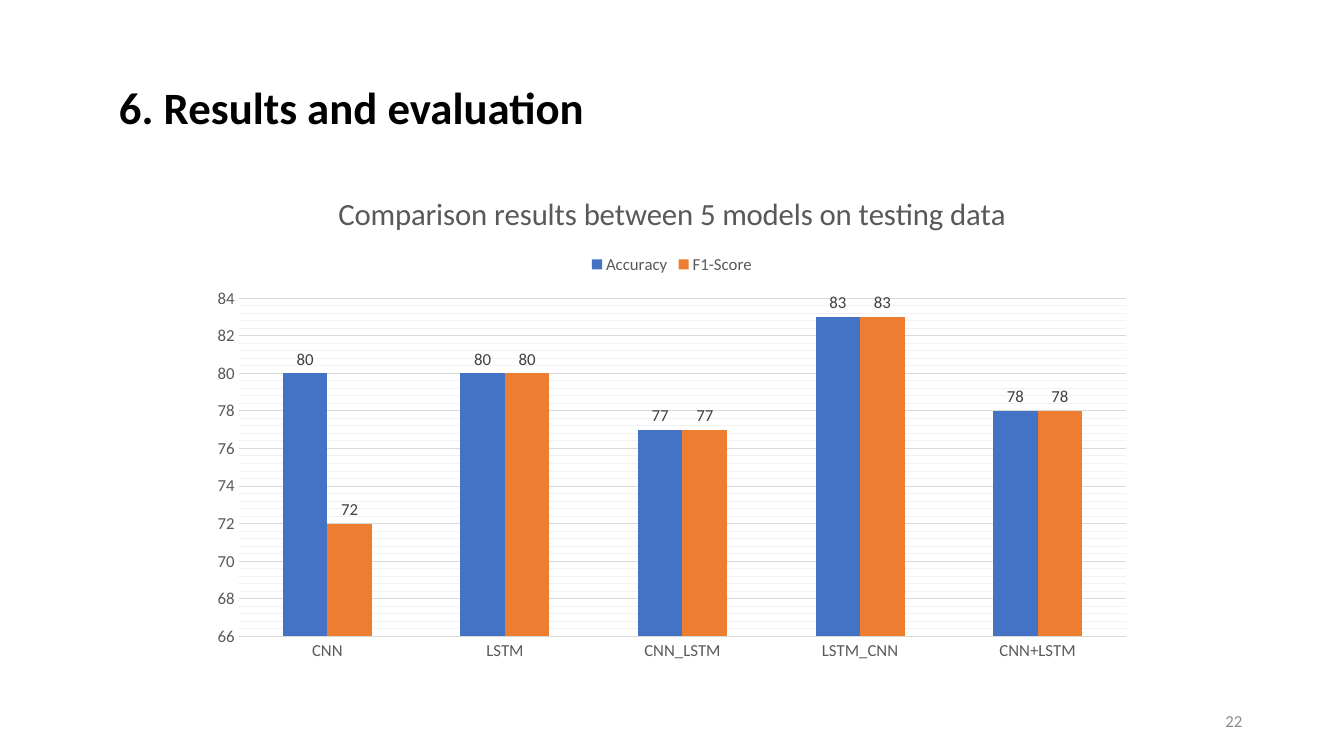
from copy import deepcopy

from pptx import Presentation
from pptx import util as u
from pptx.chart import data as cd
from pptx.dml import color as dc
from pptx.enum import chart as ec, text as et
from pptx.oxml import ns

PX = 9144
FACE = "Calibri"
GREY = "595959"
RULE = "D9D9D9"
MODELS = ["CNN", "LSTM", "CNN_LSTM", "LSTM_CNN", "CNN+LSTM"]
SCORES = [
    ("Accuracy", "4472C4", [80, 80, 77, 83, 78]),
    ("F1-Score", "ED7D31", [72, 80, 77, 83, 78]),
]


def px(*vals):
    return [u.Emu(v * PX) for v in vals]


def tint(code):
    return dc.RGBColor.from_string(code)


def put(obj, form):
    for key, val in form.items():
        setattr(obj, key, val)


def style(font, size, code, bold=False):
    put(font, {"name": FACE, "size": u.Pt(size), "bold": bold})
    font.color.rgb = tint(code)


def rule(line, code):
    line.width = u.Pt(0.75)
    line.color.rgb = tint(code)


def minor(axis, code):
    root = axis.major_gridlines._xAx
    major = root.find(ns.qn("c:majorGridlines"))
    look = deepcopy(major.find(ns.qn("c:spPr")))
    next(look.iter(ns.qn("a:srgbClr"))).set("val", code)
    root.find(ns.qn("c:minorGridlines")).append(look)


def write(shape, box, words, size, code, bold=False, **form):
    put(shape, dict(zip(("left", "top", "width", "height"), px(*box))))
    frame = shape.text_frame
    put(frame, {"vertical_anchor": et.MSO_ANCHOR.MIDDLE,
                "auto_size": et.MSO_AUTO_SIZE.NONE, **form})
    frame.text = words
    style(frame.paragraphs[0].runs[0].font, size, code, bold)
    return frame.paragraphs[0]


def head(chart, words):
    chart.has_title = True
    frame = chart.chart_title.text_frame
    frame.text = words
    style(frame.paragraphs[0].runs[0].font, 22, GREY)
    chart.chart_title.include_in_layout = False


def axes(chart):
    cat, val = chart.category_axis, chart.value_axis
    for axis in (cat, val):
        put(axis, {"major_tick_mark": ec.XL_TICK_MARK.NONE,
                   "minor_tick_mark": ec.XL_TICK_MARK.NONE})
        style(axis.tick_labels.font, 12, GREY)
    rule(cat.format.line, RULE)
    val.format.line.fill.background()
    put(val, {"minimum_scale": 66, "maximum_scale": 84, "major_unit": 2,
              "minor_unit": 0.4, "has_major_gridlines": True,
              "has_minor_gridlines": True})
    rule(val.major_gridlines.format.line, RULE)
    minor(val, "F2F2F2")


def bars(chart):
    plot = chart.plots[0]
    put(plot, {"gap_width": 199, "overlap": 0, "vary_by_categories": False})
    for series, (_, code, _) in zip(plot.series, SCORES):
        series.format.fill.solid()
        series.format.fill.fore_color.rgb = tint(code)
        series.invert_if_negative = False
        labels = series.data_labels
        put(labels, {"show_value": True,
                     "position": ec.XL_LABEL_POSITION.OUTSIDE_END})
        style(labels.font, 12, "404040")


def graph(slide, box):
    data = cd.CategoryChartData()
    data.categories = MODELS
    for name, _, vals in SCORES:
        data.add_series(name, vals)
    chart = slide.shapes.add_chart(
        ec.XL_CHART_TYPE.COLUMN_CLUSTERED, *px(*box), data).chart
    style(chart.font, 10, "000000")
    head(chart, "Comparison results between 5 models on testing data")
    chart.has_legend = True
    put(chart.legend, {"position": ec.XL_LEGEND_POSITION.TOP,
                       "include_in_layout": False})
    style(chart.legend.font, 12, GREY)
    axes(chart)
    bars(chart)


def main():
    deck = Presentation()
    deck.slide_width, deck.slide_height = px(1333, 750)
    slide = deck.slides.add_slide(deck.slide_layouts[5])
    title = write(slide.shapes.title, (108, 74, 486, 64),
                  "6. Results and evaluation", 32, "000000", True,
                  word_wrap=False, vertical_anchor=et.MSO_ANCHOR.TOP)
    title.alignment = et.PP_ALIGN.LEFT
    graph(slide, (197, 170, 939, 495))
    page = (942, 695, 300, 40)
    number = write(slide.shapes.add_textbox(*px(*page)), page,
                   "22", 12, "8C8C8C", word_wrap=True)
    number.alignment = et.PP_ALIGN.RIGHT
    deck.save("out.pptx")


if __name__ == "__main__":
    main()
